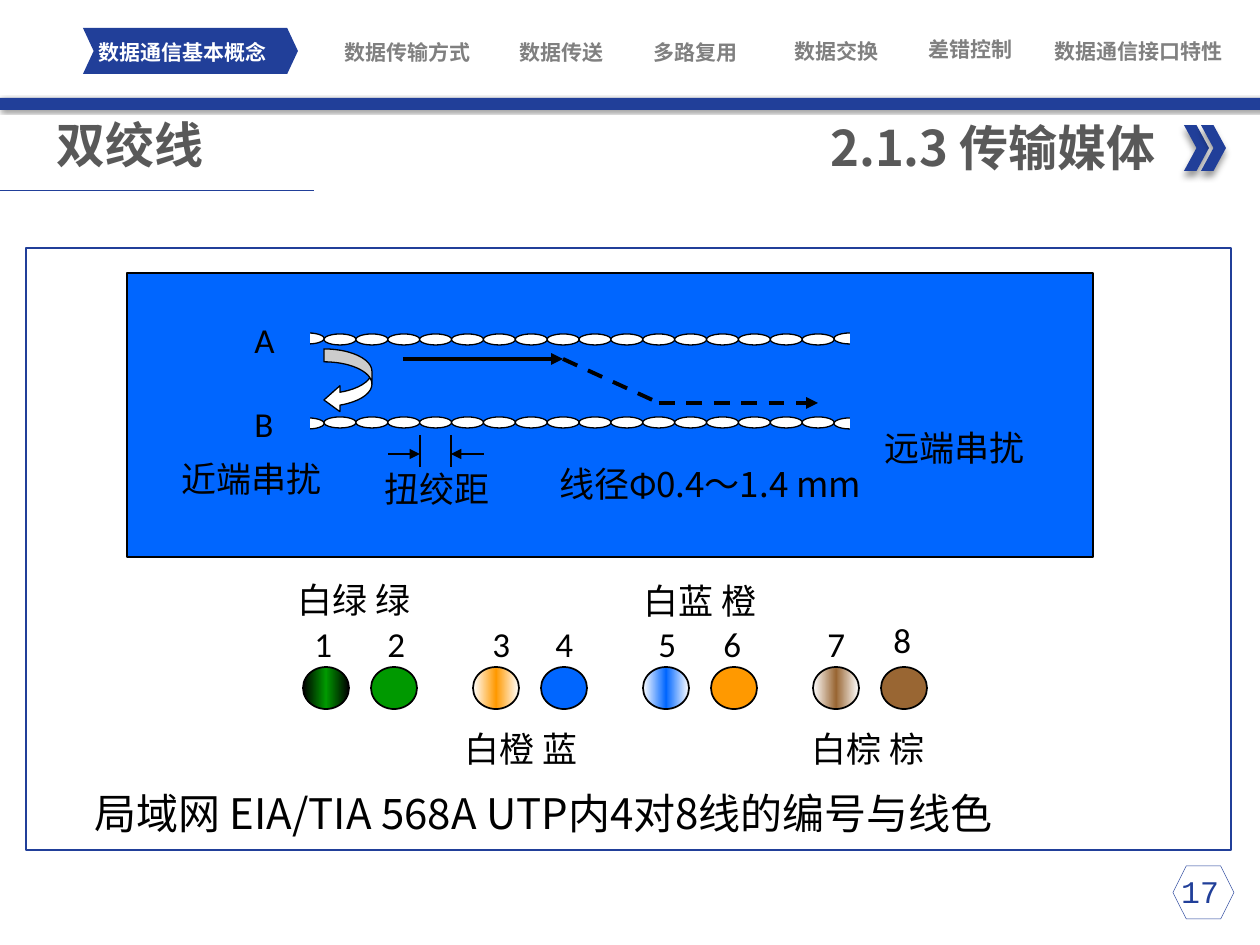
from copy import deepcopy
from dataclasses import dataclass

from lxml.etree import SubElement
from pptx import Presentation
from pptx.dml.color import RGBColor
from pptx.enum.dml import MSO_LINE
from pptx.enum.shapes import MSO_CONNECTOR, MSO_SHAPE
from pptx.enum.text import MSO_ANCHOR, PP_ALIGN
from pptx.oxml.ns import qn
from pptx.util import Emu, Pt

PX = 914400 / 126


@dataclass(frozen=True)
class Theme:
    navy: str = "213F99"
    title: str = "595959"
    muted: str = "808080"
    white: str = "FFFFFF"
    black: str = "000000"
    blue: str = "0066FF"
    green: str = "009900"
    orange: str = "FF9900"
    brown: str = "996633"
    cjk: str = "Noto Sans CJK SC"
    latin: str = "Calibri"
    nav: str = "Roboto Condensed"
    mono: str = "Courier New"
    nav_size: int = 12
    page_size: int = 18
    label_size: int = 20
    caption_size: int = 24
    title_size: int = 28


T = Theme()


def px(*values):
    return [Emu(round(v * PX)) for v in values]


def add_text(s, text, box, size=T.label_size, font=T.latin, color=T.black, bold=False,
             align=PP_ALIGN.JUSTIFY, anchor=MSO_ANCHOR.TOP, inset=True):
    tf = s.shapes.add_textbox(*px(*box)).text_frame
    tf.word_wrap = True
    tf.vertical_anchor = anchor
    if not inset:
        tf.margin_left = tf.margin_right = tf.margin_top = tf.margin_bottom = 0
    p = tf.paragraphs[0]
    p.alignment = align
    parts = [(text, font)] if isinstance(text, str) else text
    for part, name in parts:
        r = p.add_run()
        r.text = part
        r.font.size = Pt(size)
        r.font.name = name
        r.font.bold = bold
        r.font.color.rgb = RGBColor.from_string(color)
        SubElement(r.font._element, qn("a:ea"), typeface=T.cjk)


def add_box(s, kind, box, fill=None, line=None, width=1, adj=()):
    sp = s.shapes.add_shape(kind, *px(*box))
    sp.shadow.inherit = False
    for i, value in enumerate(adj):
        sp.adjustments[i] = value
    if fill:
        sp.fill.solid()
        sp.fill.fore_color.rgb = RGBColor.from_string(fill)
    else:
        sp.fill.background()
    if line:
        sp.line.color.rgb = RGBColor.from_string(line)
        sp.line.width = Pt(width)
    else:
        sp.line.fill.background()
    return sp


def add_shadow(sp, blur, dist, angle):
    effects = sp._element.spPr.find(qn("a:effectLst"))
    shadow = SubElement(effects, qn("a:outerShdw"), blurRad=str(Pt(blur)), dist=str(Pt(dist)),
                        dir=str(angle * 60000), algn="t", rotWithShape="0")
    color = SubElement(shadow, qn("a:srgbClr"), val=T.black)
    SubElement(color, qn("a:alpha"), val="40000")


def add_gradient(sp, edge, middle):
    sp.fill.gradient()
    sp.fill.gradient_angle = 0
    stops = sp._element.spPr.find(qn("a:gradFill")).find(qn("a:gsLst"))
    stops.append(deepcopy(stops[0]))
    for stop, color, position in zip(sp.fill.gradient_stops, (edge, middle, edge), (0, 0.5, 1)):
        stop.color.rgb = RGBColor.from_string(color)
        stop.position = position


def add_line(s, x1, y1, x2, y2, color=T.black, width=0.75, dash=False, arrow=False):
    c = s.shapes.add_connector(MSO_CONNECTOR.STRAIGHT, *px(x1, y1, x2, y2))
    c.line.color.rgb = RGBColor.from_string(color)
    c.line.width = Pt(width)
    if dash:
        c.line.dash_style = MSO_LINE.DASH
    if arrow:
        SubElement(c.line._get_or_add_ln(), qn("a:tailEnd"), type="triangle")
    SubElement(c._element.spPr, qn("a:effectLst"))


def add_nav(s, x, y):
    add_box(s, MSO_SHAPE.CHEVRON, (x + 83, y + 28, 215, 46), T.navy, adj=[0.234])
    tabs = [("数据通信基本概念", 91, 40, 183), ("数据传输方式", 316, 40, 183),
            ("数据传送", 470, 40, 183), ("多路复用", 604, 40, 183), ("数据交换", 745, 39, 183),
            ("差错控制", 879, 37, 183), ("数据通信接口特性", 1018, 39, 242)]
    for i, (name, dx, dy, w) in enumerate(tabs):
        add_text(s, name, (x + dx, y + dy, w, 25), T.nav_size, T.nav,
                 T.muted if i else T.white, True, PP_ALIGN.CENTER, MSO_ANCHOR.MIDDLE, False)


def add_header(s, x, y):
    add_shadow(add_box(s, MSO_SHAPE.RECTANGLE, (x, y, 1260, 12), T.navy), 2, 1, 45)
    for dx in (1184, 1201):
        sp = add_box(s, MSO_SHAPE.CHEVRON, (x + dx, y + 27, 25, 46), T.navy)
        add_shadow(sp, 4, 3, 90)
    style = dict(size=T.title_size, font=T.cjk, color=T.title, bold=True)
    add_text(s, "双绞线", (x + 44, y + 10, 430, 72), align=PP_ALIGN.LEFT, **style)
    add_text(s, "2.1.3 传输媒体", (x + 96, y + 13, 1072, 72), align=PP_ALIGN.RIGHT, **style)
    add_line(s, x, y + 92, x + 314, y + 92, T.navy, 0.5)


def add_strand(s, x, y, end_shift):
    loops, pitch = 16, 510 / 16
    for i in range(-1, loops + 1):
        dy = 0 if 0 <= i < loops else end_shift
        add_box(s, MSO_SHAPE.OVAL, (x + i * pitch, y + dy, 32, 11), T.white, T.black, 0.75)
    for dx, dy in ((-46, -12), (526, -15)):
        add_box(s, MSO_SHAPE.RECTANGLE, (x + dx, y + dy, 32, 33), T.blue)


def add_crosstalk(s, x, y, w, h):
    add_box(s, MSO_SHAPE.RECTANGLE, (x, y, w, h), T.blue, T.black)
    add_strand(s, x + 197, y + 61, -1)
    add_strand(s, x + 197, y + 144, 1)
    add_box(s, MSO_SHAPE.CURVED_LEFT_ARROW, (x + 197, y + 76, 48, 64), T.white, T.black, 0.75,
            [0.269, 0.539, 0.333])
    thin, signal = dict(width=0.75), dict(width=2.25)
    lines = [((293, 162, 293, 194), thin), ((324, 162, 324, 194), thin),
             ((357, 181, 324, 181), dict(thin, arrow=True)),
             ((261, 181, 293, 181), dict(thin, arrow=True)),
             ((276, 86, 436, 86), dict(signal, arrow=True)),
             ((436, 86, 532, 130), dict(signal, dash=True)),
             ((532, 130, 691, 130), dict(signal, dash=True, arrow=True))]
    for (x1, y1, x2, y2), style in lines:
        add_line(s, x + x1, y + y1, x + x2, y + y2, **style)
    labels = [("A", 115, 39, 96), ("B", 115, 123, 96), ("近端串扰", 42, 178, 192),
              ("远端串扰", 745, 147, 192), ([("扭绞距", T.cjk)], 245, 188, 144),
              ([("线径Φ", T.latin), ("0.4～1.4 mm", T.cjk)], 420, 183, 346)]
    for text, dx, dy, width in labels:
        add_text(s, text, (x + dx, y + dy, width, 54))


def add_wires(s, x, y):
    pairs = [("白绿 绿", -18, -95, T.black, T.green, T.green),
             ("白橙 蓝", -21, 54, T.white, T.orange, T.blue),
             ("白蓝 橙", -12, -94, T.white, T.blue, T.orange),
             ("白棕 棕", -14, 54, T.white, T.brown, T.brown)]
    for i, (label, dx, dy, edge, striped, plain) in enumerate(pairs):
        left = x + i * 170
        sp = add_box(s, MSO_SHAPE.OVAL, (left, y, 46, 42), striped, T.black)
        add_gradient(sp, edge, striped)
        add_box(s, MSO_SHAPE.OVAL, (left + 68, y, 46, 42), plain, T.black)
        add_text(s, label, (left + dx, y + dy, 205, 54))
    for n, dx in enumerate((-1, 72, 177, 240, 343, 408, 512, 578), 1):
        add_text(s, str(n), (x + dx, y - (55 if n == 8 else 51), 93, 80))


def add_body(s, x, y, w, h):
    add_box(s, MSO_SHAPE.RECTANGLE, (x, y, w, h), T.white, T.navy)
    add_crosstalk(s, x + 101, y + 25, 966, 284)
    add_wires(s, x + 277, y + 419)
    add_text(s, "局域网 EIA/TIA 568A UTP内4对8线的编号与线色", (x + 56, y + 533, 1108, 89),
             T.caption_size, T.cjk)


def add_page_number(s, x, y, w, h):
    add_box(s, MSO_SHAPE.HEXAGON, (x, y, w, h), None, T.navy, 0.25)
    add_text(s, "17", (x - 28, y, 110, 50), T.page_size, T.mono, T.navy, align=PP_ALIGN.CENTER)


def main():
    prs = Presentation()
    prs.slide_width, prs.slide_height = px(1260, 945)
    s = prs.slides.add_slide(prs.slide_layouts[6])
    add_body(s, 26, 248, 1205, 602)
    add_page_number(s, 1173, 866, 61, 53)
    add_header(s, 0, 98)
    add_nav(s, 0, 0)
    prs.save("out.pptx")


if __name__ == "__main__":
    main()
